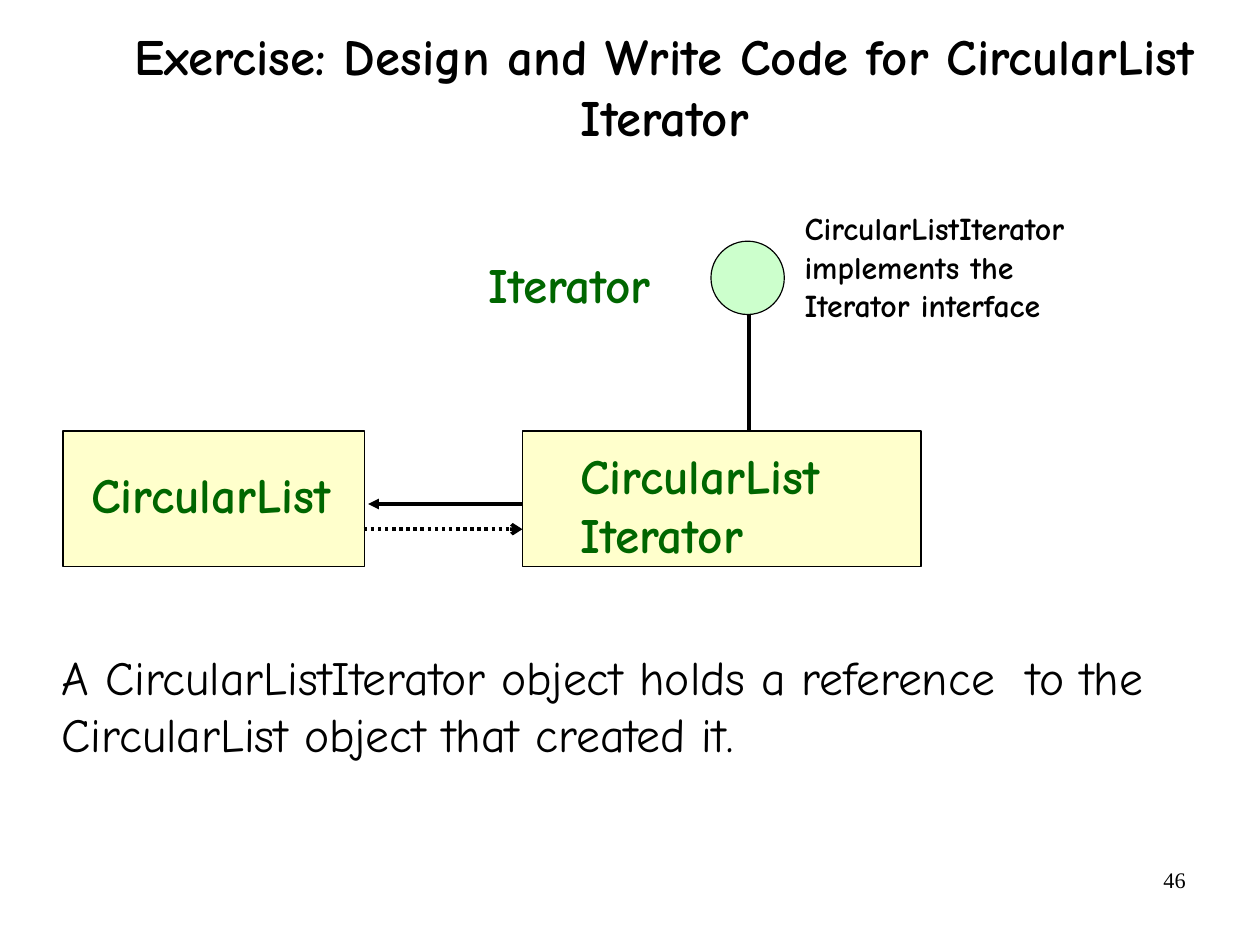
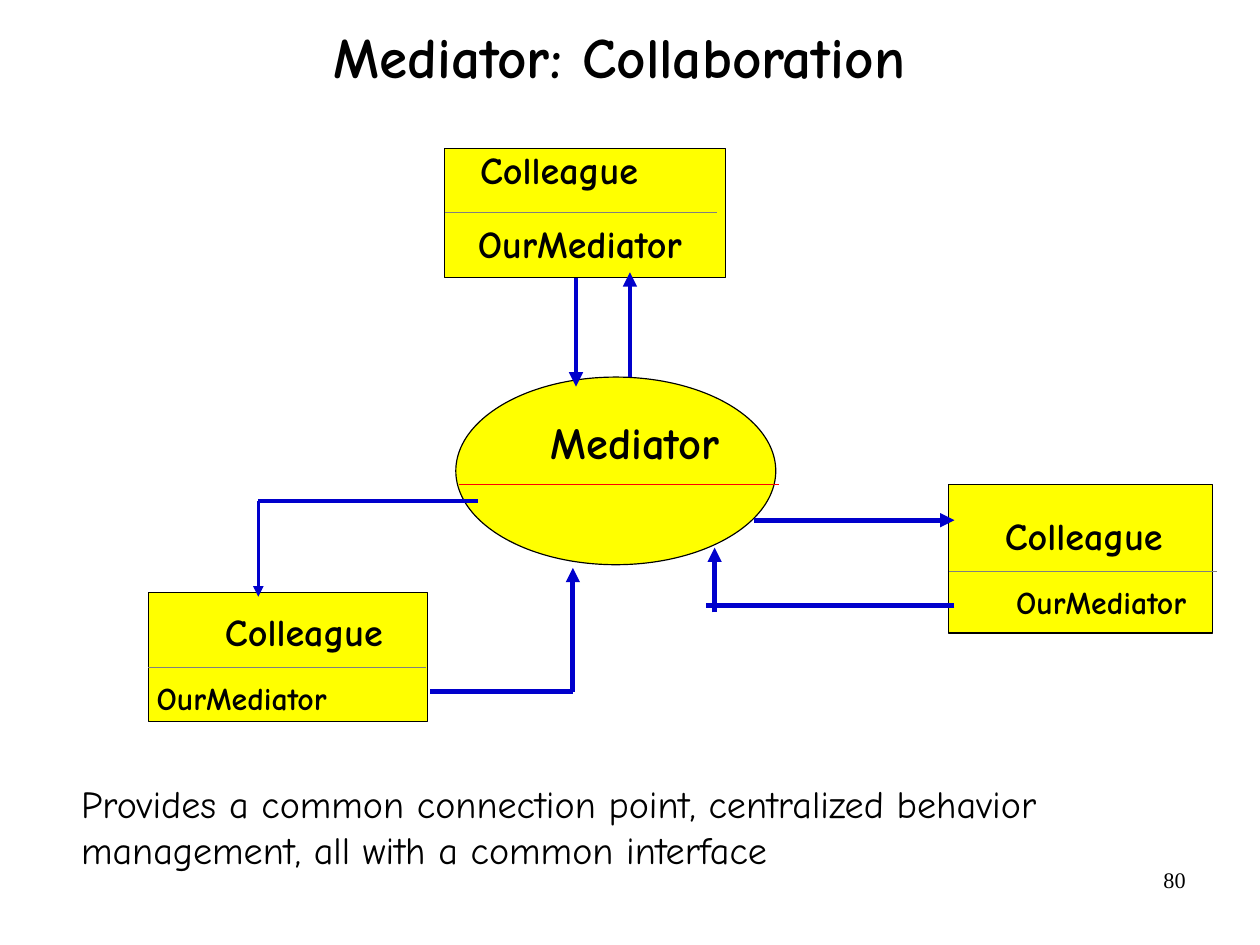
from lxml import etree
from pptx import Presentation
from pptx.dml.color import RGBColor
from pptx.enum.dml import MSO_LINE
from pptx.enum.shapes import MSO_CONNECTOR, MSO_SHAPE
from pptx.enum.text import MSO_ANCHOR, MSO_AUTO_SIZE, PP_ALIGN
from pptx.oxml.ns import qn
from pptx.util import Cm, Pt

RECT, OVAL = MSO_SHAPE.RECTANGLE, MSO_SHAPE.OVAL
LINE, DOT = MSO_CONNECTOR.STRAIGHT, MSO_LINE.ROUND_DOT
TOP, MID = MSO_ANCHOR.TOP, MSO_ANCHOR.MIDDLE
LEFT, MIDDLE, RIGHT = PP_ALIGN.LEFT, PP_ALIGN.CENTER, PP_ALIGN.RIGHT
FIXED = MSO_AUTO_SIZE.NONE

BLACK = RGBColor(0, 0, 0)
GREEN = RGBColor(0, 0x66, 0)
CREAM = RGBColor(0xFF, 0xFF, 0xCC)
MINT = RGBColor(0xCC, 0xFF, 0xCC)
YELLOW = RGBColor(0xFF, 0xFF, 0)
RED = RGBColor(0xFF, 0, 0)
GREY = RGBColor(0x80, 0x80, 0x80)
BLUE = RGBColor(0, 0, 0xCC)
FONT, SERIF = "Comic Neue", "Times New Roman"
PAGE = (20.07, 19.13, 6.53, 1.45)
INSET = (0.28, 0.15)

SLIDES = [
    {
        "title": ("Exercise: Design and Write Code for CircularList Iterator",
                  (1.93, 0.79, 25.68, 2.21), 32, 1),
        "body": ("A CircularListIterator object holds a reference  to the "
                 "CircularList object that created it.",
                 (1.09, 14.25, 26.44, 2.82), 30),
        "page": "46",
        "shapes": [
            (RECT, (1.4, 9.58, 6.7, 3.02), CREAM),
            (RECT, (11.61, 9.58, 8.86, 3.02), CREAM),
            (OVAL, (15.8, 5.36, 1.63, 1.63), MINT),
        ],
        "labels": [
            ("CircularList", (1.75, 10.16, 6.2, 1.6), 31, GREEN),
            ("CircularList\nIterator", (12.62, 9.75, 7, 2.9), 31, GREEN),
            ("Iterator", (10.57, 5.51, 5.36, 1.6), 31, GREEN),
            ("CircularListIterator\nimplements the\nIterator interface",
             (17.6, 4.5, 9.55, 2.82), 20, BLACK),
        ],
        "routes": [
            ([(11.61, 11.2), (8.18, 11.2)], BLACK, 2.25, "triangle", None),
            ([(16.64, 7), (16.64, 9.58)], BLACK, 2.25, None, None),
            ([(8.08, 11.76), (11.61, 11.76)], BLACK, 2.25, "arrow", DOT),
        ],
    },
    {
        "title": ("Mediator: Collaboration", (0.64, -0.3, 26.24, 3.3), 36, 0.88),
        "body": ("Provides a common connection point, centralized behavior "
                 "management, all with a common interface",
                 (1.52, 17.2, 26, 2.31), 24),
        "page": "80",
        "shapes": [
            (OVAL, (10.13, 8.38, 7.11, 4.17), YELLOW),
            (RECT, (3.3, 13.16, 6.2, 2.87), YELLOW),
            (RECT, (9.88, 3.3, 6.25, 2.87), YELLOW),
            (RECT, (21.08, 10.77, 5.87, 3.3), YELLOW),
        ],
        "labels": [
            ("Colleague", (10.39, 3.1, 5.1, 1.3), 24, BLACK),
            ("Colleague", (4.72, 13.36, 4.5, 1.3), 24, BLACK),
            ("Colleague", (22.05, 11.23, 4.5, 1.3), 24, BLACK),
            ("Mediator", (11.96, 9.07, 4.8, 1.47), 28, BLACK),
            ("OurMediator", (3.2, 14.94, 5.46, 1.12), 20, BLACK),
            ("OurMediator", (10.34, 4.75, 5.5, 1.3), 24, BLACK),
            ("OurMediator", (22.3, 12.8, 4.6, 1.12), 20, BLACK),
        ],
        "routes": [
            ([(10.21, 10.77), (17.32, 10.77)], RED, 0.75, None, None),
            ([(9.88, 4.72), (15.93, 4.72)], GREY, 0.75, None, None),
            ([(3.3, 14.83), (9.47, 14.83)], GREY, 0.75, None, None),
            ([(21.08, 12.7), (27.05, 12.7)], GREY, 0.75, None, None),
            ([(12.8, 6.17), (12.8, 8.59)], BLUE, 3, "triangle", None),
            ([(14, 8.38), (14, 6.05)], BLUE, 3, "triangle", None),
            ([(10.62, 11.13), (5.74, 11.13), (5.74, 13.26)],
             BLUE, 2.25, "triangle", None),
            ([(9.55, 15.37), (12.73, 15.37), (12.73, 12.62)],
             BLUE, 3, "triangle", None),
            ([(21.21, 13.46), (15.7, 13.46)], BLUE, 3, None, None),
            ([(15.88, 13.61), (15.88, 12.17)], BLUE, 3, "triangle", None),
            ([(16.76, 11.56), (21.21, 11.56)], BLUE, 3, "triangle", None),
        ],
    },
]


def place(shape, box):
    shape.left, shape.top, shape.width, shape.height = map(Cm, box)


def write(shape, text, size, color=BLACK, bold=False, font=FONT,
          align=LEFT, anchor=TOP, inset=INSET, space=None):
    frame = shape.text_frame
    frame.text = text
    frame.word_wrap = True
    frame.auto_size = FIXED
    frame.vertical_anchor = anchor
    frame.margin_left = frame.margin_right = Cm(inset[0])
    frame.margin_top = frame.margin_bottom = Cm(inset[1])
    for para in frame.paragraphs:
        para.alignment = align
        para.space_before = Pt(0)
        if space:
            para.line_spacing = space
        for run in para.runs:
            run.font.name = font
            run.font.size = Pt(size)
            run.font.bold = bold
            run.font.color.rgb = color


def unlist(shape):
    for para in shape.text_frame.paragraphs:
        props = para._p.get_or_add_pPr()
        props.set("marL", "0")
        props.set("indent", "0")
        etree.SubElement(props, qn("a:buNone"))


def draw(slide, kind, box, fill):
    shape = slide.shapes.add_shape(kind, *map(Cm, box))
    shape.shadow.inherit = False
    shape.fill.solid()
    shape.fill.fore_color.rgb = fill
    shape.line.color.rgb = BLACK
    shape.line.width = Pt(0.75)


def label(slide, text, box, size, color=BLACK, **style):
    shape = slide.shapes.add_textbox(*map(Cm, box))
    write(shape, text, size, color, **style)


def route(slide, points, color, width, head, dash):
    for start, end in zip(points, points[1:]):
        link = slide.shapes.add_connector(LINE, *map(Cm, start + end))
        link.line.color.rgb = color
        link.line.width = Pt(width)
        if dash:
            link.line.dash_style = dash
        props = link._element.spPr
        etree.SubElement(props, qn("a:effectLst"))
    if head:
        tip = etree.SubElement(props.find(qn("a:ln")), qn("a:tailEnd"))
        tip.set("type", head)


def build(deck, data):
    slide = deck.slides.add_slide(deck.slide_layouts[1])
    title, body = slide.placeholders
    text, box, size, space = data["title"]
    place(title, box)
    write(title, text, size, bold=True, align=MIDDLE, anchor=MID,
          inset=(0, 0), space=space)
    text, box, size = data["body"]
    place(body, box)
    write(body, text, size)
    unlist(body)
    label(slide, data["page"], PAGE, 14, font=SERIF, align=RIGHT,
          inset=(0.25, 0.13))
    for item in data["shapes"]:
        draw(slide, *item)
    for item in data["labels"]:
        label(slide, *item, bold=True)
    for item in data["routes"]:
        route(slide, *item)


def main():
    deck = Presentation()
    deck.slide_width, deck.slide_height = Cm(28), Cm(21)
    for data in SLIDES:
        build(deck, data)
    deck.save("out.pptx")


if __name__ == "__main__":
    main()
